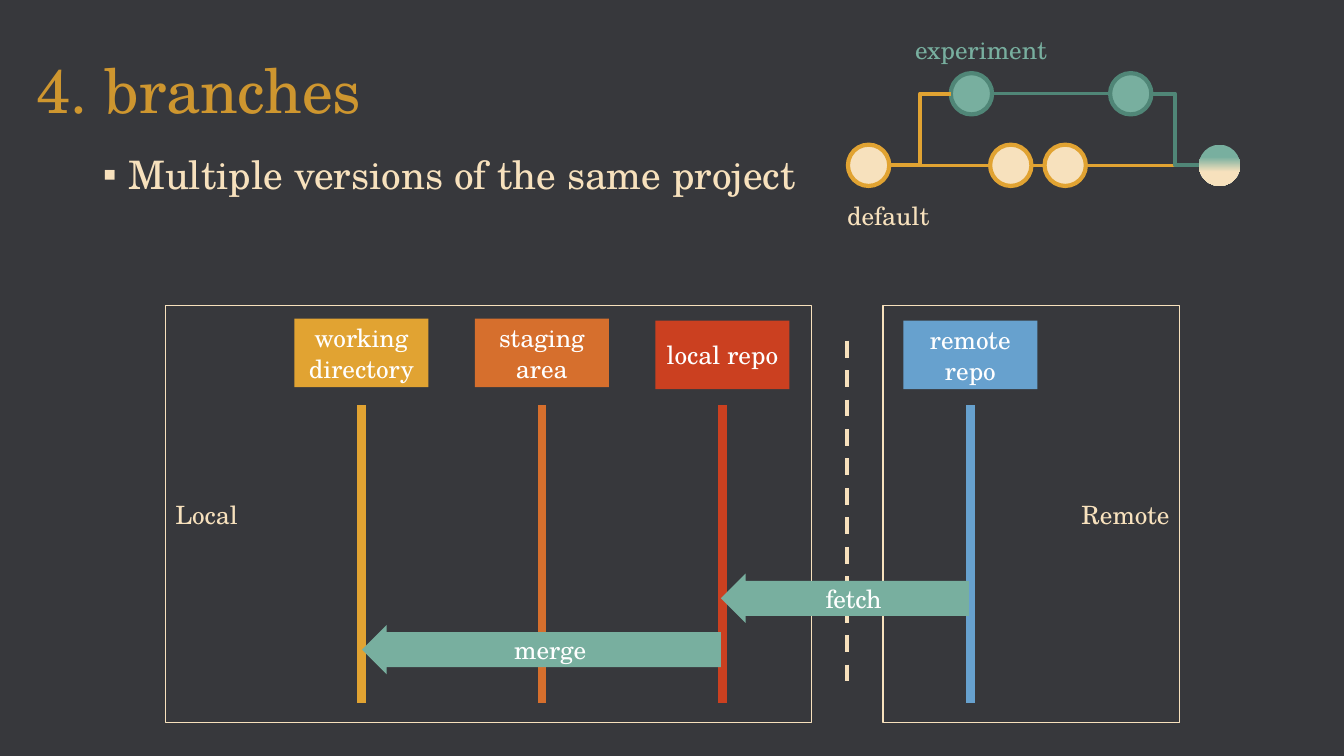
from lxml import etree
from pptx import Presentation
from pptx.dml.color import RGBColor
from pptx.enum import dml, shapes, text
from pptx.oxml import ns
from pptx.util import Inches, Pt

FONT = "TeX Gyre Schola"
DARK = RGBColor(0x37, 0x38, 0x3C)
GOLD = RGBColor(0xCE, 0x96, 0x2F)
CREAM = RGBColor(0xF7, 0xE1, 0xBD)
WHITE = RGBColor(0xFF, 0xFF, 0xFF)
YELLOW = RGBColor(0xE1, 0xA3, 0x32)
ORANGE = RGBColor(0xD6, 0x6F, 0x2D)
RED = RGBColor(0xCB, 0x40, 0x20)
BLUE = RGBColor(0x67, 0xA1, 0xCE)
GREEN = RGBColor(0x78, 0xAF, 0x9F)
DARK_GREEN = RGBColor(0x50, 0x86, 0x77)

LEFT, CENTER, RIGHT = text.PP_ALIGN.LEFT, text.PP_ALIGN.CENTER, text.PP_ALIGN.RIGHT
RECTANGLE = shapes.MSO_SHAPE.RECTANGLE
STRAIGHT, ELBOW = shapes.MSO_CONNECTOR.STRAIGHT, shapes.MSO_CONNECTOR.ELBOW


def write(shape, words, size, color, align):
    frame = shape.text_frame
    frame.word_wrap = True
    frame.text = words
    paragraph = frame.paragraphs[0]
    paragraph.alignment = align
    font = paragraph.runs[0].font
    font.name, font.size, font.color.rgb = FONT, Pt(size), color
    return paragraph


def add_block(page, kind, box, fill=None, line=None, width=1):
    shape = page.shapes.add_shape(kind, *map(Inches, box))
    shape.shadow.inherit = False
    if fill is None:
        shape.fill.background()
    else:
        shape.fill.solid()
        shape.fill.fore_color.rgb = fill
    if line is None:
        shape.line.fill.background()
    else:
        shape.line.color.rgb = line
        shape.line.width = Pt(width)
    shape.text_frame.vertical_anchor = text.MSO_ANCHOR.MIDDLE
    return shape


def add_line(page, start, end, color, width, kind=STRAIGHT):
    connector = page.shapes.add_connector(kind, *map(Inches, start + end))
    connector.line.color.rgb = color
    connector.line.width = Pt(width)
    etree.SubElement(connector._element.spPr, ns.qn("a:effectLst"))
    return connector


def fill_placeholder(shape, box, words, size, color):
    shape.left, shape.top, shape.width, shape.height = map(Inches, box)
    paragraph = write(shape, words, size, color, LEFT)
    shape.text_frame.auto_size = text.MSO_AUTO_SIZE.NONE
    paragraph.line_spacing = 0.9
    return paragraph


def add_heading(page, left, top):
    title, body = page.placeholders
    fill_placeholder(title, (left, top, 11.5, 1.45), "4. branches", 44, GOLD)
    title.text_frame.vertical_anchor = text.MSO_ANCHOR.MIDDLE
    paragraph = fill_placeholder(body, (left + 0.66, top + 1.29, 11.5, 5.23),
                                 "Multiple versions of the same project", 28, CREAM)
    paragraph.space_before = Pt(10)
    properties = paragraph._p.get_or_add_pPr()
    properties.set("marL", str(Inches(0.25)))
    properties.set("indent", str(-Inches(0.25)))
    etree.SubElement(properties, ns.qn("a:buChar")).set("char", "▪")


def add_lane(page, left, top, label, color):
    width = 1.33
    header = add_block(page, RECTANGLE, (left, top, width, 0.68), color)
    write(header, label, 18, WHITE, CENTER)
    middle = left + width / 2
    add_line(page, (middle, 4.02), (middle, 6.97), color, 6)


def add_zone(page, left, width, label, align):
    frame = add_block(page, RECTANGLE, (left, 3.03, width, 4.14), line=CREAM)
    write(frame, label, 18, CREAM, align)


def add_command(page, left, top, width, label):
    arrow = add_block(page, shapes.MSO_SHAPE.LEFT_ARROW, (left, top, width, 0.49), GREEN)
    arrow.adjustments[0] = 0.709
    write(arrow, label, 18, WHITE, CENTER)


def add_workflow(page):
    for left, top, label, color in (
        (2.92, 3.16, "working directory", YELLOW),
        (4.71, 3.16, "staging area", ORANGE),
        (6.5, 3.18, "local repo", RED),
        (8.96, 3.18, "remote repo", BLUE),
    ):
        add_lane(page, left, top, label, color)
    divider = add_line(page, (8.4, 3.38), (8.4, 6.81), CREAM, 3)
    divider.line.dash_style = dml.MSO_LINE.DASH
    add_zone(page, 1.64, 6.41, "Local", LEFT)
    add_zone(page, 8.76, 2.94, "Remote", RIGHT)
    add_command(page, 7.15, 5.69, 2.46, "fetch")
    add_command(page, 3.59, 6.2, 3.56, "merge")


def add_label(page, left, top, words, color):
    label = page.shapes.add_textbox(*map(Inches, (left, top, 1.52, 0.4)))
    write(label, words, 18, color, CENTER)


def add_history(page, left, top):
    size = 0.41
    upper, lower = top + 0.64, top + 1.35
    default = [left + step for step in (0.36, 1.77, 2.31, 3.84)]
    experiment = [left + step for step in (1.38, 2.96)]

    def add_commit(start, middle, fill, line):
        box = (start, middle - size / 2, size, size)
        return add_block(page, shapes.MSO_SHAPE.OVAL, box, fill, line, 3)

    for start in default[:3]:
        add_commit(start, lower, CREAM, YELLOW)
    for start in experiment:
        add_commit(start, upper, GREEN, DARK_GREEN)

    merged = add_commit(default[3], lower, None, None)
    merged.fill.gradient()
    merged.fill.gradient_angle = 270
    for stop, position, color in zip(merged.fill.gradient_stops, (0.3, 0.66), (GREEN, CREAM)):
        stop.position = position
        stop.color.rgb = color

    add_line(page, (default[0] + size, lower), (experiment[0], upper), YELLOW, 3, ELBOW)
    for start, end in zip(default, default[1:]):
        add_line(page, (start + size, lower), (end, lower), YELLOW, 2.25)
    add_line(page, (experiment[1] + size, upper), (default[3], lower), DARK_GREEN, 3, ELBOW)
    add_line(page, (experiment[0] + size, upper), (experiment[1], upper), DARK_GREEN, 2.25)
    add_label(page, left + 0.92, top, "experiment", GREEN)
    add_label(page, left, top + 1.65, "default", CREAM)


def main():
    deck = Presentation()
    deck.slide_width, deck.slide_height = Inches(13.33), Inches(7.5)
    page = deck.slides.add_slide(deck.slide_layouts[1])
    page.background.fill.solid()
    page.background.fill.fore_color.rgb = DARK
    add_heading(page, 0.26, 0.2)
    add_workflow(page)
    add_history(page, 8.05, 0.29)
    deck.save("out.pptx")


if __name__ == "__main__":
    main()
